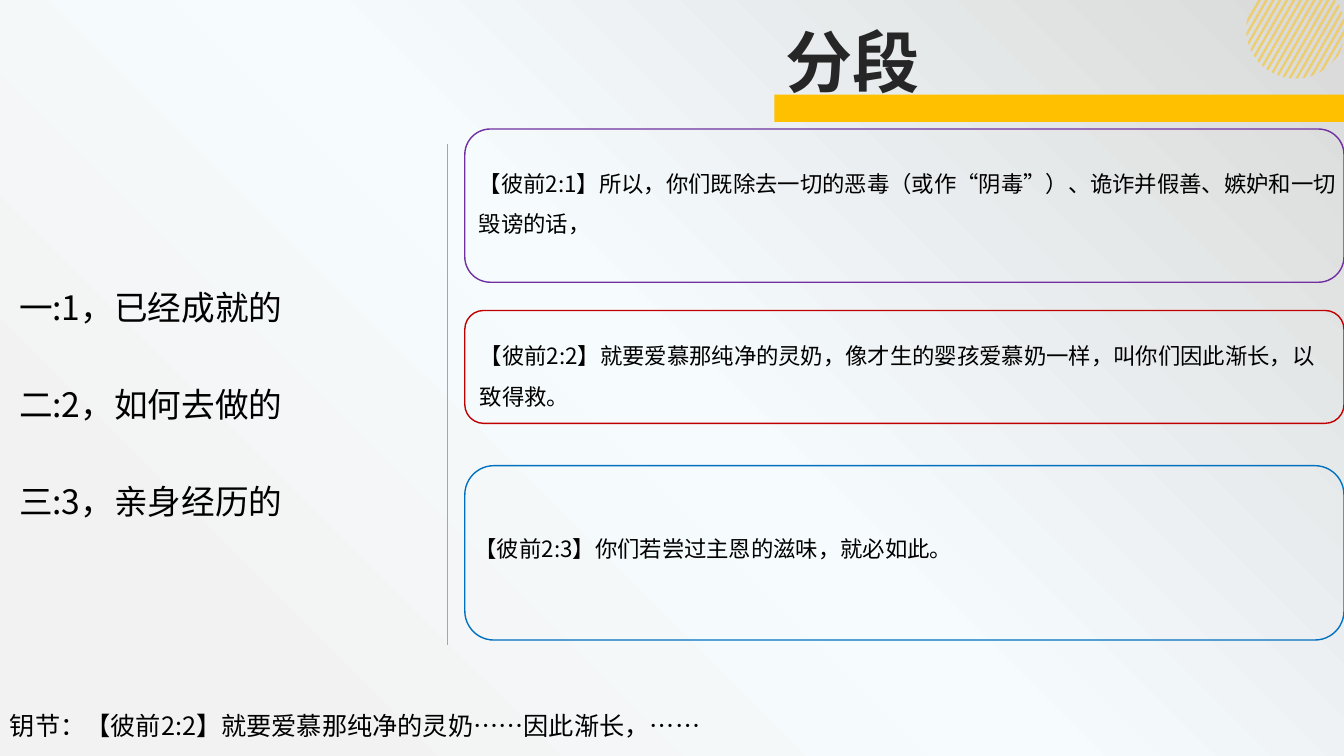
import math

import pptx
import pptx.dml.color
import pptx.enum.lang
import pptx.enum.shapes
import pptx.enum.text
import pptx.oxml.ns
import pptx.oxml.xmlchemy
import pptx.util
from pptx.util import Inches

GOLD = "FFC000"


def color(value):
    return pptx.dml.color.RGBColor.from_string(value)


def child(parent, tag, **attributes):
    element = pptx.oxml.xmlchemy.OxmlElement(tag)
    for name, value in attributes.items():
        element.set(name, str(value))
    parent.append(element)
    return element


class SlideBuilder:
    font = "Noto Sans CJK SC"
    ink = "000000"

    def __init__(self, page):
        self.page = page

    def background(self, stops):
        self.page.background.fill.gradient()
        gradient = self.page.element.find(".//" + pptx.oxml.ns.qn("a:gradFill"))
        for element in list(gradient):
            gradient.remove(element)
        stop_list = child(gradient, "a:gsLst")
        for position, value, alpha in stops:
            stop = child(stop_list, "a:gs", pos=position * 1000)
            tone = child(stop, "a:srgbClr", val=value)
            if alpha < 100:
                child(tone, "a:alpha", val=alpha * 1000)
        circle = child(gradient, "a:path", path="circle")
        child(circle, "a:fillToRect", t=100000, r=100000)

    def shape(self, kind, left, top, width, height, fill=None, line=None):
        shape = self.page.shapes.add_shape(
            kind, Inches(left), Inches(top), Inches(width), Inches(height))
        shape.shadow.inherit = False
        if fill:
            shape.fill.solid()
            shape.fill.fore_color.rgb = color(fill)
        else:
            shape.fill.background()
        if line:
            shape.line.color.rgb = color(line)
            shape.line.width = pptx.util.Pt(1)
        else:
            shape.line.fill.background()

    def text(self, lines, left, top, width, height, size=16, ink=None, bold=False,
             spacing=1.0, gap=0, middle=False, insets=(0.1, 0.05, 0.1, 0.05)):
        box = self.page.shapes.add_textbox(
            Inches(left), Inches(top), Inches(width), Inches(height))
        frame = box.text_frame
        frame.word_wrap = True
        anchors = pptx.enum.text.MSO_ANCHOR
        frame.vertical_anchor = anchors.MIDDLE if middle else anchors.TOP
        (frame.margin_left, frame.margin_top,
         frame.margin_right, frame.margin_bottom) = map(Inches, insets)
        for index, line in enumerate(lines):
            para = frame.add_paragraph() if index else frame.paragraphs[0]
            para.line_spacing = spacing
            if index and gap:
                para.space_before = pptx.util.Pt(gap)
            span = para.add_run()
            span.text = line
            span.font.size = pptx.util.Pt(size)
            span.font.bold = bold
            span.font.language_id = pptx.enum.lang.MSO_LANGUAGE_ID.SIMPLIFIED_CHINESE
            span.font.color.rgb = color(ink or self.ink)
            span.font.name = self.font
            child(span.font._element, "a:ea", typeface=self.font)

    def line(self, start, end, ink, width):
        connector = self.page.shapes.add_connector(
            pptx.enum.shapes.MSO_CONNECTOR.STRAIGHT, *map(Inches, start + end))
        connector.line.color.rgb = color(ink)
        connector.line.width = pptx.util.Pt(width)
        child(connector.element.spPr, "a:effectLst")

    def striped_disc(self, center_x, center_y, radius, first, step, thickness, count):
        group = self.page.shapes.add_group_shape()
        slope = math.tan(math.radians(30))

        def chord(crossing):
            offset = crossing - center_x - slope * center_y
            scale = 1 + slope ** 2
            half = math.sqrt(max(0, radius ** 2 * scale - offset ** 2)) / scale
            middle = center_y + slope * offset / scale
            rows = max(0, middle - half), middle + half
            return [(Inches(crossing - slope * y), Inches(y)) for y in rows]

        for index in range(count):
            crossing = first + index * step
            left_top, left_bottom = chord(crossing)
            right_top, right_bottom = chord(crossing + thickness)
            builder = group.shapes.build_freeform(*left_top)
            builder.add_line_segments([right_top, right_bottom, left_bottom])
            stripe = builder.convert_to_shape()
            stripe.shadow.inherit = False
            stripe.line.fill.background()
            stripe.fill.solid()
            stripe.fill.fore_color.rgb = color(GOLD)
            tone = stripe.element.spPr.find(".//" + pptx.oxml.ns.qn("a:srgbClr"))
            child(tone, "a:alpha", val=50000)


def main():
    deck = pptx.Presentation()
    deck.slide_width = Inches(13.33)
    deck.slide_height = Inches(7.5)
    slide = SlideBuilder(deck.slides.add_slide(deck.slide_layouts[6]))
    kinds = pptx.enum.shapes.MSO_SHAPE

    slide.background([(15, "F2F2F2", 100), (50, "F6FCFE", 27), (100, "D9D9D9", 100)])
    slide.striped_disc(12.85, 0.29, 0.49, first=12.48, step=0.068,
                       thickness=0.027, count=17)
    slide.shape(kinds.RECTANGLE, 7.68, 0.94, 5.65, 0.27, fill=GOLD)
    slide.text(["分段"], 7.69, 0.15, 4.6, 0.91, size=48, ink="262626", bold=True)
    slide.text(["一:1，已经成就的", "二:2，如何去做的", "三:3，亲身经历的"],
               0.09, 2.72, 4.45, 2.5, size=24, spacing=1.2, gap=34.6)
    slide.line((4.44, 1.43), (4.44, 6.4), "A6A6A6", 0.5)

    even = (0.1, 0.1, 0.1, 0.1)
    verses = [
        ("7030A0", 1.28, 1.52, (4.68, 1.59, 8.72, 1.12), (0.07, 0.07, 0.07, 0.47),
         "【彼前2:1】所以，你们既除去一切的恶毒（或作“阴毒”）、诡诈并假善、嫉妒和一切毁谤的话，"),
        ("C00000", 3.08, 1.12, (4.66, 3.41, 8.63, 0.51), even,
         "【彼前2:2】就要爱慕那纯净的灵奶，像才生的婴孩爱慕奶一样，叫你们因此渐长，以致得救。"),
        ("0070C0", 4.62, 1.73, (4.61, 4.51, 8.67, 1.73), even,
         "【彼前2:3】你们若尝过主恩的滋味，就必如此。"),
    ]
    for outline, top, height, place, insets, verse in verses:
        slide.shape(kinds.ROUNDED_RECTANGLE, 4.61, top, 8.72, height, line=outline)
        slide.text([verse], *place, spacing=1.5, middle=True, insets=insets)

    slide.text(["钥节：【彼前2:2】就要爱慕那纯净的灵奶……因此渐长，……"],
               0, 7, 13.24, 0.4, size=18)
    deck.save("out.pptx")


if __name__ == "__main__":
    main()
